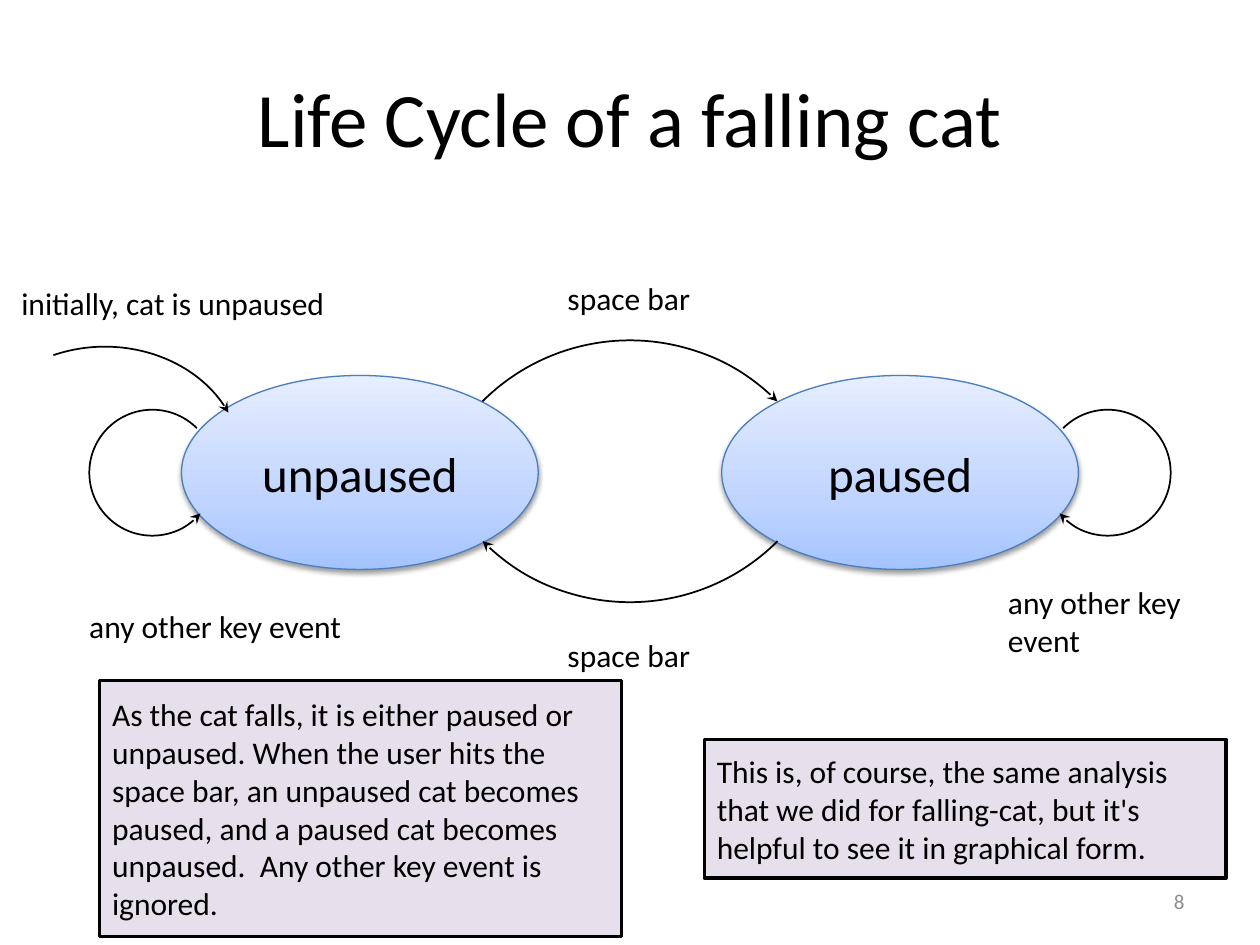
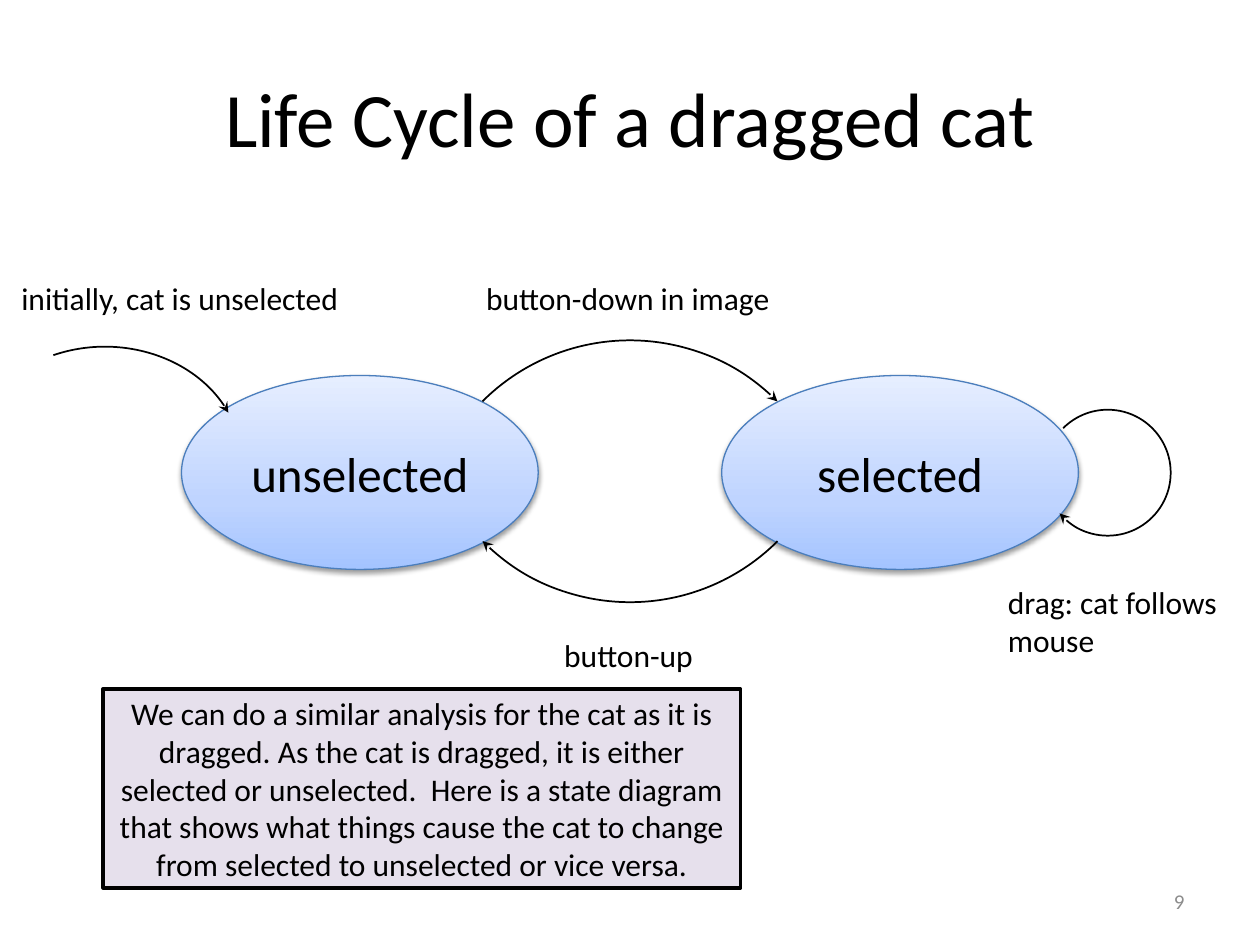
from collections import namedtuple
from copy import deepcopy

from lxml.etree import SubElement
from pptx import Presentation
from pptx.dml.color import RGBColor
from pptx.enum.shapes import MSO_SHAPE
from pptx.enum.text import MSO_ANCHOR, MSO_AUTO_SIZE, PP_ALIGN
from pptx.oxml.ns import qn
from pptx.util import Cm, Pt

Box = namedtuple("Box", "left top width height")
COLORS = {
    "text": "000000",
    "number": "8C8C8C",
    "note": "E6E0EC",
    "state_line": "4B7EBC",
    "state_low": "A4C4FF",
    "state_middle": "BFD4FF",
    "state_high": "E6EEFF",
}
FONT = "Calibri"
SLIDE = Box(0, 0, 25.4, 19.05)
TITLE = Box(1.27, 0.76, 22.86, 3.18)
DIAGRAM = Box(0, 5.51, 25.4, 8.2)
NUMBER = Box(18.21, 17.66, 5.92, 1.02)
STATE_WIDTH, STATE_HEIGHT, STATE_TOP = 7.19, 3.91, 2.06
LABEL_HEIGHT = 1.02
ENTRY_ANGLES = (146.55, 202.92)
LOOP_ANGLES = (108, 56.86)

SLIDES = [
    {
        "title": "Life Cycle of a falling cat",
        "number": "8",
        "states": ("unpaused", "paused"),
        "initial": ("initially, cat is unpaused", 0.1, 6.71),
        "forward": ("space bar", 3.02),
        "back": ("space bar", 3.02),
        "right_loop": "any other key event",
        "left_loop": "any other key event",
        "notes": [
            (Box(2.01, 13.72, 10.52, 5.16), PP_ALIGN.LEFT,
             "As the cat falls, it is either paused or unpaused. When the user "
             "hits the space bar, an unpaused cat becomes paused, and a paused "
             "cat becomes unpaused.  Any other key event is ignored."),
            (Box(14.2, 14.91, 10.52, 2.79), PP_ALIGN.LEFT,
             "This is, of course, the same analysis that we did for "
             "falling-cat, but it's helpful to see it in graphical form."),
        ],
    },
    {
        "title": "Life Cycle of a dragged cat",
        "number": "9",
        "states": ("unselected", "selected"),
        "initial": ("initially, cat is unselected", 0, 6.99),
        "forward": ("button-down in image", 6.3),
        "back": ("button-up", 3.15),
        "right_loop": "drag: cat follows mouse",
        "left_loop": None,
        "notes": [
            (Box(2.08, 13.89, 12.85, 4.01), PP_ALIGN.CENTER,
             "We can do a similar analysis for the cat as it is dragged. As "
             "the cat is dragged, it is either selected or unselected.  Here "
             "is a state diagram that shows what things cause the cat to "
             "change from selected to unselected or vice versa."),
        ],
    },
]


def color(name):
    """Return the named palette colour."""
    return RGBColor.from_string(COLORS[name])


def lengths(box):
    """Convert a box in centimetres to lengths."""
    return [Cm(value) for value in box]


def write(shape, text, size=18, ink="text", align=PP_ALIGN.LEFT,
          anchor=MSO_ANCHOR.MIDDLE, wrap=True):
    """Put formatted text into a shape."""
    frame = shape.text_frame
    frame.word_wrap = wrap
    frame.vertical_anchor = anchor
    para = frame.paragraphs[0]
    para.alignment = align
    span = para.add_run()
    span.text = text
    span.font.name = FONT
    span.font.size = Pt(size)
    span.font.color.rgb = color(ink)


def add_label(page, box, text, **style):
    """Add a text box."""
    label = page.shapes.add_textbox(*lengths(box))
    write(label, text, **style)
    return label


def add_caption(page, box, text, wrap=False):
    """Add a caption that grows with its text."""
    caption = add_label(page, box, text, anchor=MSO_ANCHOR.TOP, wrap=wrap)
    caption.text_frame.auto_size = MSO_AUTO_SIZE.SHAPE_TO_FIT_TEXT


def add_outlined(page, kind, box, line, width):
    """Add a preset shape with a plain outline and no shadow."""
    shape = page.shapes.add_shape(kind, *lengths(box))
    shape.shadow.inherit = False
    shape.line.color.rgb = color(line)
    shape.line.width = Pt(width)
    return shape


def add_state(page, box, text):
    """Add a shaded ellipse that stands for a state."""
    state = add_outlined(page, MSO_SHAPE.OVAL, box, "state_line", 0.75)
    state.fill.gradient()
    state.fill.gradient_angle = 90
    properties = state._element.spPr
    stop_list = properties.find(".//" + qn("a:gsLst"))
    stop_list.append(deepcopy(stop_list[0]))
    shades = (("state_low", 0), ("state_middle", 0.35), ("state_high", 1))
    for stop, (name, position) in zip(state.fill.gradient_stops, shades):
        stop.color.rgb = color(name)
        stop.position = position
    shadow = SubElement(
        properties.find(qn("a:effectLst")), qn("a:outerShdw"),
        blurRad=str(Pt(3.1)), dist=str(Pt(1.6)), dir="5400000", rotWithShape="0")
    black = SubElement(shadow, qn("a:srgbClr"), val=COLORS["text"])
    SubElement(black, qn("a:alpha"), val="38000")
    write(state, text, size=28, align=PP_ALIGN.CENTER)


def add_arc(page, box, turn=0, angles=(), mirrored=False):
    """Add a curved arrow."""
    arc = add_outlined(page, MSO_SHAPE.ARC, box, "text", 1)
    arc.fill.background()
    arc.rotation = turn
    for index, angle in enumerate(angles):
        arc.adjustments[index] = angle
    if mirrored:
        arc._element.spPr.find(qn("a:xfrm")).set("flipH", "1")
    SubElement(arc.line._get_or_add_ln(), qn("a:tailEnd"), type="stealth")


def add_note(page, box, text, align):
    """Add a framed explanation."""
    note = add_outlined(page, MSO_SHAPE.RECTANGLE, box, "text", 2)
    note.fill.solid()
    note.fill.fore_color.rgb = color("note")
    write(note, text, align=align)


def add_transitions(page, box, forward, back):
    """Add the two arrows between the states, with centred captions."""
    size = 8.41
    left = box.left + (box.width - size) / 2
    for (text, width), arc_top, text_top, turn in (
            (forward, 1.35, 0, 315), (back, -1.78, 7.19, 135)):
        add_arc(page, Box(left, box.top + arc_top, size, size), turn)
        text_left = box.left + (box.width - width) / 2
        add_caption(page, Box(text_left, box.top + text_top, width, LABEL_HEIGHT),
                    text)


def add_loops(page, box, left_text, right_text):
    """Add the arrows that lead from a state back to itself."""
    size, margin, top = 2.54, 1.8, box.top + 2.75
    right = box.left + box.width - margin - size
    add_arc(page, Box(right, top, size, size), 45, LOOP_ANGLES)
    add_caption(page, Box(box.left + 20.07, box.top + 6.12, 5.33, 1.8),
                right_text, wrap=True)
    if left_text:
        add_arc(page, Box(box.left + margin, top, size, size), 315,
                LOOP_ANGLES, mirrored=True)
        add_caption(page, Box(box.left + 1.55, box.top + 6.61, 6.5, LABEL_HEIGHT),
                    left_text, wrap=True)


def add_diagram(page, box, content):
    """Draw the state diagram inside a box."""
    margin = 3.66
    step = box.width - 2 * margin - STATE_WIDTH
    for index, name in enumerate(content["states"]):
        add_state(page, Box(box.left + margin + index * step, box.top + STATE_TOP,
                            STATE_WIDTH, STATE_HEIGHT), name)
    text, drop, width = content["initial"]
    add_caption(page, Box(box.left + 0.18, box.top + drop, width, LABEL_HEIGHT), text)
    add_arc(page, Box(box.left - 0.64, box.top + 1.48, 5.51, 4.65),
            angles=ENTRY_ANGLES)
    add_transitions(page, box, content["forward"], content["back"])
    add_loops(page, box, content["left_loop"], content["right_loop"])


def add_title(page, box, text):
    """Place and fill the title placeholder."""
    title = page.shapes.title
    title.left, title.top, title.width, title.height = lengths(box)
    write(title, text, size=44, align=PP_ALIGN.CENTER)


def add_page(deck, content):
    """Add one slide with title, diagram, notes and number."""
    page = deck.slides.add_slide(deck.slide_layouts.get_by_name("Title Only"))
    add_title(page, TITLE, content["title"])
    add_diagram(page, DIAGRAM, content)
    for box, align, text in content["notes"]:
        add_note(page, box, text, align)
    add_label(page, NUMBER, content["number"], size=12, ink="number",
              align=PP_ALIGN.RIGHT)


def main():
    """Build and save the deck."""
    deck = Presentation()
    deck.slide_width, deck.slide_height = Cm(SLIDE.width), Cm(SLIDE.height)
    for content in SLIDES:
        add_page(deck, content)
    deck.save("out.pptx")


main()
